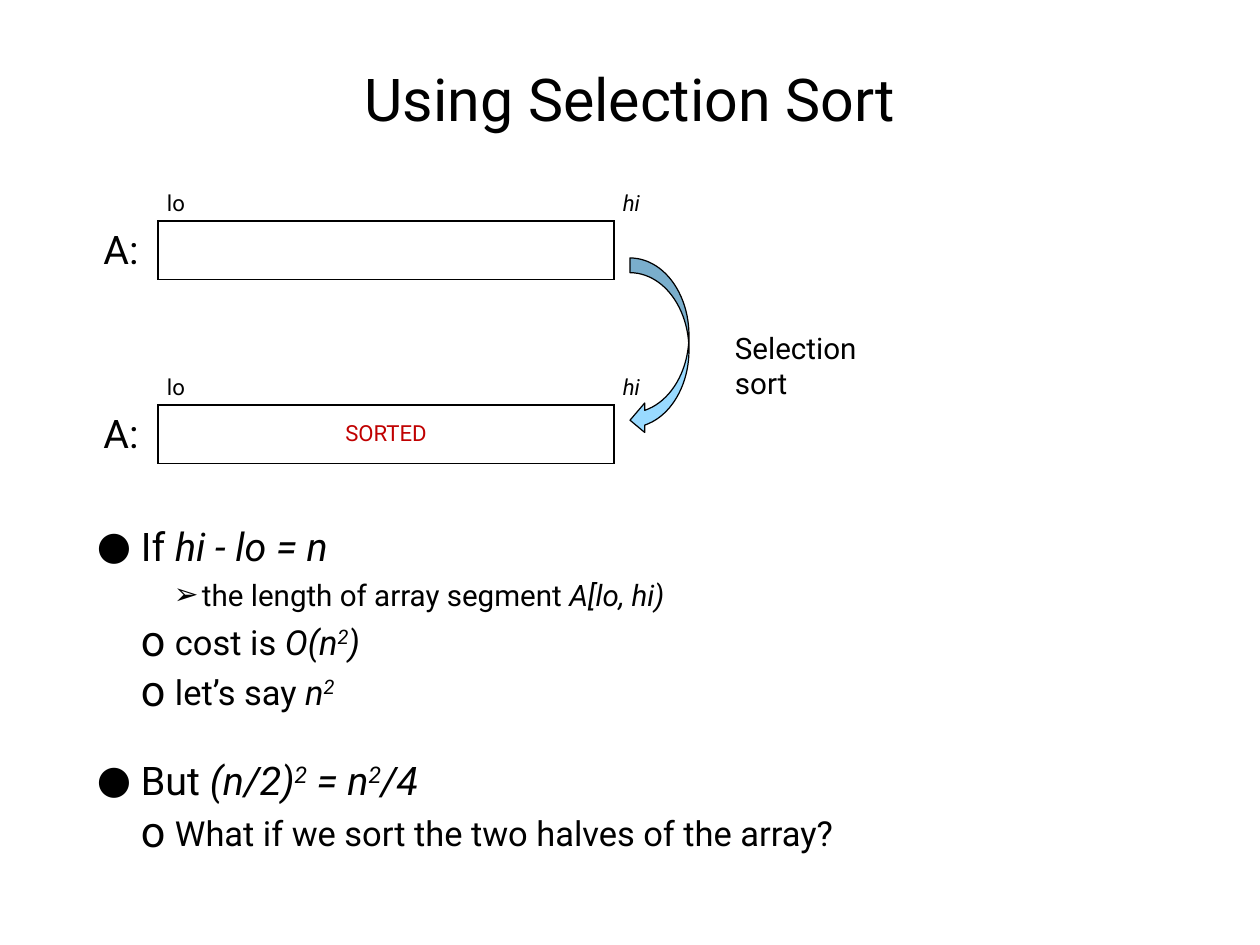
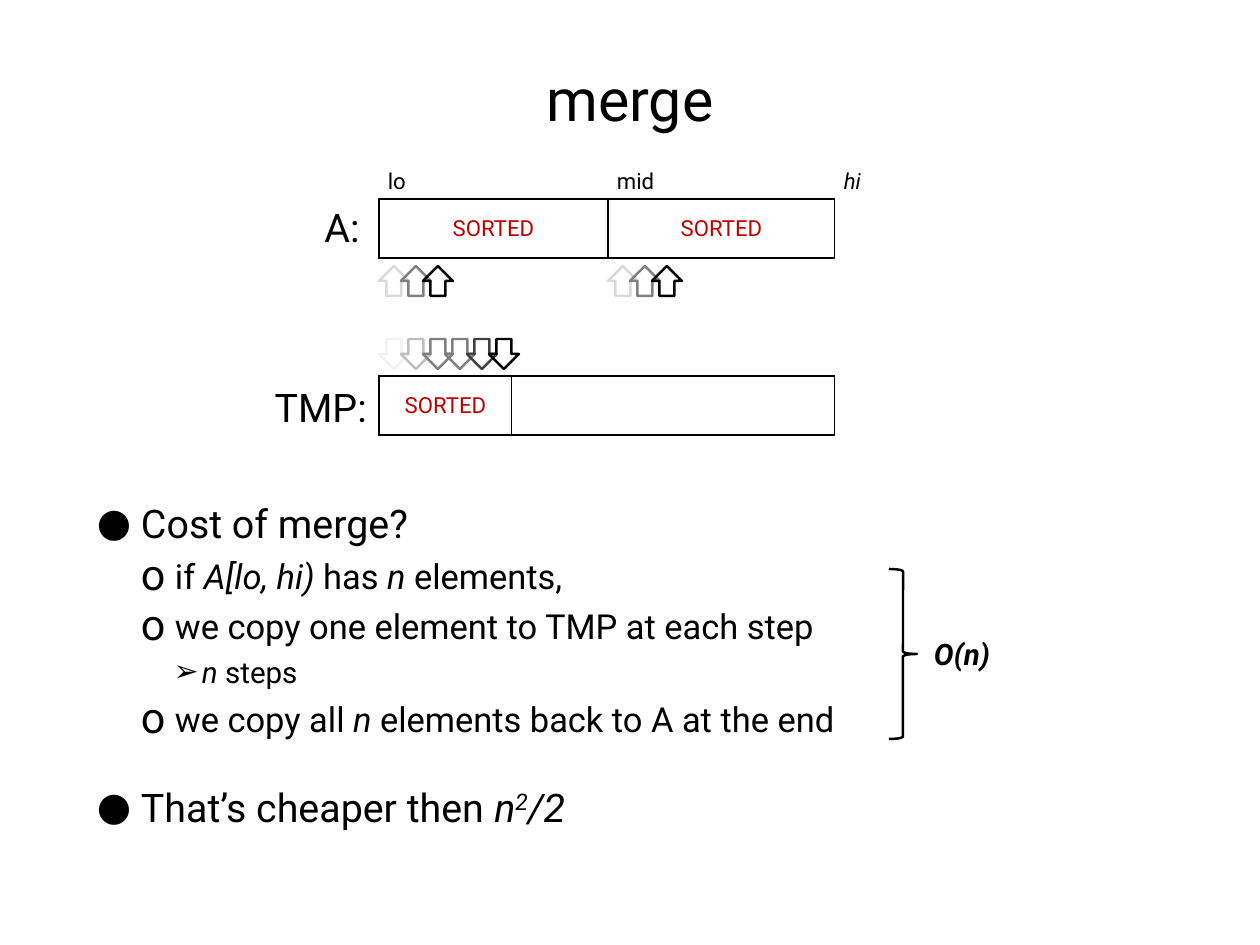
from lxml import etree
from pptx import Presentation
from pptx.dml.color import RGBColor
from pptx.enum.shapes import MSO_SHAPE
from pptx.enum.text import MSO_ANCHOR, MSO_AUTO_SIZE, PP_ALIGN
from pptx.oxml.ns import qn
from pptx.util import Emu, Pt

LEFT, MID, RIGHT = PP_ALIGN.LEFT, PP_ALIGN.CENTER, PP_ALIGN.RIGHT
TOP, CENTER, BOTTOM = MSO_ANCHOR.TOP, MSO_ANCHOR.MIDDLE, MSO_ANCHOR.BOTTOM
UP, DOWN = MSO_SHAPE.UP_ARROW, MSO_SHAPE.DOWN_ARROW
CURVE, BRACE = MSO_SHAPE.CURVED_LEFT_ARROW, MSO_SHAPE.RIGHT_BRACE
BLACK = RGBColor(0x00, 0x00, 0x00)
RED = RGBColor(0xC0, 0x00, 0x00)
SKY = RGBColor(0x99, 0xDA, 0xFF)
FONT = "Roboto"
PLAIN = "{2D5ABB26-0587-4C30-8999-92F81FD0307C}"
PIXEL = 914400 / 88.6

# Content: _italic_, ^raised^; each list line is (level, text)
SORT_LIST = [
    (0, "If _hi - lo = n_"),
    (2, "the length of array segment _A[lo, hi)_"),
    (1, "cost is _O(n^2^)_"),
    (1, "let’s say _n^2^_"),
    (0, "But _(n/2)^2^ = n^2^/4_"),
    (1, "What if we sort the two halves of the array?"),
]
MERGE_LIST = [
    (0, "Cost of merge?"),
    (1, "if _A[lo, hi) _has _n_ elements,"),
    (1, "we copy one element to TMP at each step"),
    (2, "_n_ steps"),
    (1, "we copy all _n_ elements back to A at the end"),
    (0, "That’s cheaper then _n^2^/2_"),
]
HALVES, PART = (229, 227, 40), (133, 323, 40)
# Arrays: left, top, columns, marks above, words inside, joined, name
SORT_ROWS = [
    (158, 177, HALVES, ("lo", "", "_hi_"), ("", ""), True, "A:"),
    (158, 361, HALVES, ("lo", "", "_hi_"), ("SORTED", ""), True, "A:"),
]
MERGE_ROWS = [
    (379, 155, HALVES, ("lo", "mid", "_hi_"), ("SORTED", "SORTED"), False, "A:"),
    (379, 332, PART, ("", "", ""), ("SORTED", ""), False, "TMP:"),
]
# Name boxes: width, drop below the table top, alignment
NAMES = {"A:": (60, 43, MID), "TMP:": (120, 46, RIGHT)}
# Step arrows: kind, left, top, grey levels
STEPS = [
    (UP, 379, 266, (0xD9, 0x80, 0x00)),
    (UP, 608, 266, (0xD9, 0x80, 0x00)),
    (DOWN, 379, 339, (0xF2, 0xBF, 0x80, 0x80, 0x40, 0x00)),
]
# Levels: size, space before, left margin, hang, bullet, bullet percent
LEVELS = [
    (32, 8, 44, 44, "●", 100),
    (28, 7, 78, 34, "o", 125),
    (24, 6, 105, 28, "➢", 100),
]
BREAK = 36  # points before a later top-level line


def px(*vals):
    return [Emu(round(v * PIXEL)) for v in vals]


def write(para, text, size, color=BLACK, bold=False):
    for i, part in enumerate(text.split("_")):
        for j, bit in enumerate(part.split("^")):
            if not bit:
                continue
            run = para.add_run()
            run.text = bit
            font = run.font
            font.name, font.size, font.bold = FONT, Pt(size), bold
            font.italic = i % 2 == 1
            font.color.rgb = color
            if j % 2:
                font._element.set("baseline", "30000")


def frame(shape, anchor, pad=5):
    tf = shape.text_frame
    tf.word_wrap = True
    tf.auto_size = MSO_AUTO_SIZE.NONE
    tf.vertical_anchor = anchor
    tf.margin_left, tf.margin_top, tf.margin_right, tf.margin_bottom = px(*[pad] * 4)
    return tf


def place(shape, *box):
    shape.left, shape.top, shape.width, shape.height = px(*box)


def label(slide, box, text, size, align, anchor=CENTER, bold=False):
    tf = frame(slide.shapes.add_textbox(*px(*box)), anchor)
    para = tf.paragraphs[0]
    para.alignment = align
    write(para, text, size, bold=bold)


def draw(slide, kind, box, line, width, fill=None):
    shape = slide.shapes.add_shape(kind, *px(*box))
    shape.shadow.inherit = False
    if fill is None:
        shape.fill.background()
    else:
        shape.fill.solid()
        shape.fill.fore_color.rgb = fill
    shape.line.color.rgb = line
    shape.line.width = Pt(width)


def bullet(para, level):
    size, before, left, hang, char, pct = LEVELS[level]
    para.level = level
    para.space_before = Pt(before)
    props = para._p.get_or_add_pPr()
    margin, indent = px(left, -hang)
    props.set("marL", str(margin))
    props.set("indent", str(indent))
    for tag, key, val in (("a:buSzPct", "val", str(pct * 1000)),
                          ("a:buFont", "typeface", FONT),
                          ("a:buChar", "char", char)):
        etree.SubElement(props, qn(tag)).set(key, val)
    return size


def edges(cell, sides):
    props = cell._tc.get_or_add_tcPr()
    for side in "LRTB":
        line = etree.SubElement(props, qn("a:ln" + side))
        if side in sides:
            line.set("w", str(Pt(1)))
            fill = etree.SubElement(line, qn("a:solidFill"))
            etree.SubElement(fill, qn("a:srgbClr")).set("val", str(BLACK))
        else:
            etree.SubElement(line, qn("a:noFill"))
    cell.fill.background()


def array(slide, left, top, cols, marks, words, joined, name):
    high = (44, 59)
    shape = slide.shapes.add_table(2, 3, *px(left, top, sum(cols), sum(high)))
    table = shape.table
    table.first_row = table.horz_banding = False
    table._tbl.tblPr.find(qn("a:tableStyleId")).text = PLAIN
    for col, wide in zip(table.columns, px(*cols)):
        col.width = wide
    for row, tall in zip(table.rows, px(*high)):
        row.height = tall
    for i in range(3):
        head, body = table.cell(0, i), table.cell(1, i)
        edges(head, "B" if i < 2 else "")
        edges(body, "LRTB" if i < 2 else "L")
        head.vertical_anchor, body.vertical_anchor = BOTTOM, CENTER
        write(head.text_frame.paragraphs[0], marks[i], 18)
        if i < 2:
            para = body.text_frame.paragraphs[0]
            para.alignment = MID
            write(para, words[i], 18, RED)
    if joined:
        table.cell(1, 0).merge(table.cell(1, 1))
    wide, drop, align = NAMES[name]
    label(slide, (left - 7 - wide, top + drop, wide, 58), name, 32, align)


def page(deck, title, top, tall, items, rows):
    slide = deck.slides.add_slide(deck.slide_layouts[1])
    # Title
    place(slide.shapes.title, 92, 25, 1076, 145)
    para = frame(slide.shapes.title, CENTER).paragraphs[0]
    para.alignment = MID
    write(para, title, 48)
    # List
    body = slide.placeholders[1]
    place(body, 92, top, 1076, tall)
    tf = frame(body, TOP)
    for i, (level, text) in enumerate(items):
        para = tf.add_paragraph() if i else tf.paragraphs[0]
        write(para, text, bullet(para, level))
        if i and level == 0:
            para.space_before = Pt(BREAK)
    # Arrays
    for row in rows:
        array(slide, *row)
    return slide


deck = Presentation()
deck.slide_width, deck.slide_height = px(1260, 945)

# Slide 1: selection sort
slide = page(deck, "Using Selection Sort", 517, 344, SORT_LIST, SORT_ROWS)
draw(slide, CURVE, (630, 258, 59, 177), BLACK, 1, SKY)
label(slide, (730, 325, 150, 80), "Selection sort", 24, LEFT, TOP)

# Slide 2: merge
slide = page(deck, "merge", 494, 365, MERGE_LIST, MERGE_ROWS)
for kind, left, top, greys in STEPS:
    for i, grey in enumerate(greys):
        box = (left + 22 * i, top, 30, 30)
        draw(slide, kind, box, RGBColor(grey, grey, grey), 2)
draw(slide, BRACE, (889, 569, 28, 170), BLACK, 2)
label(slide, (922, 632, 80, 44), "_O(n)_", 24, MID, bold=True)

deck.save("out.pptx")
